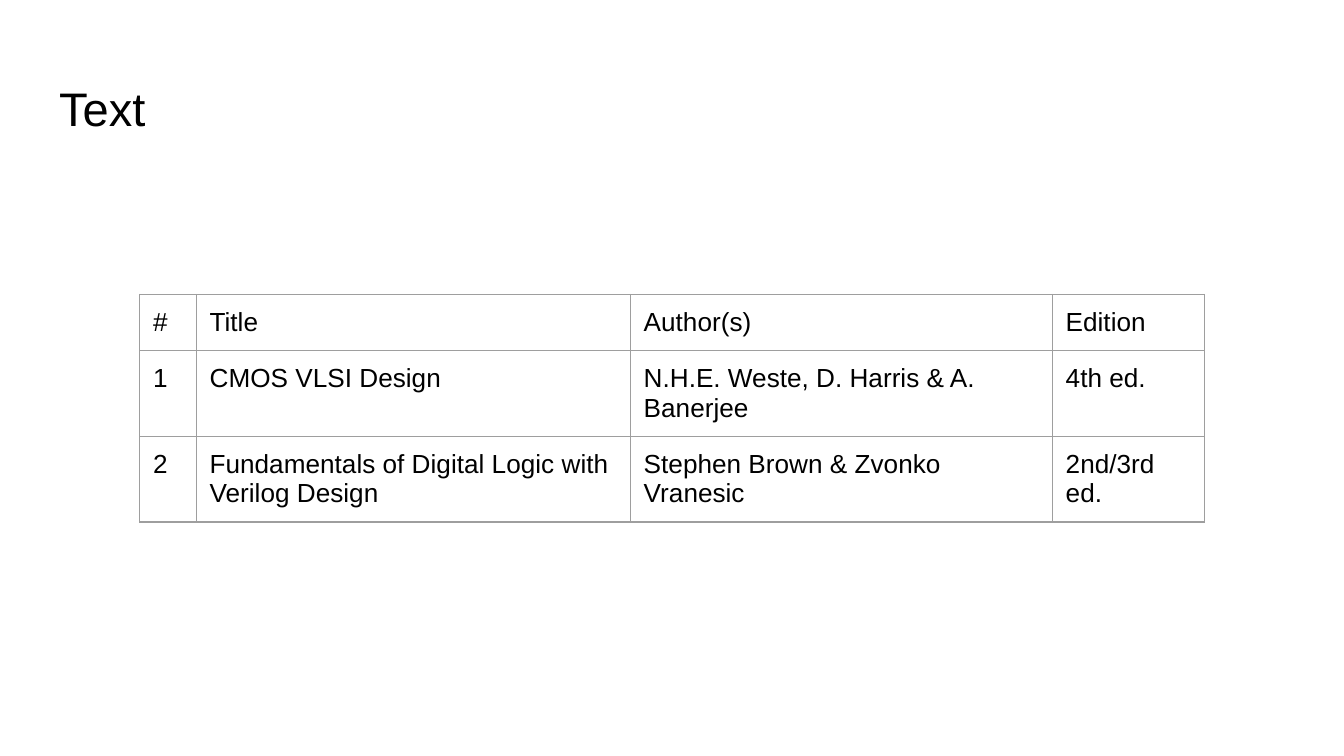
from lxml import etree
from pptx import Presentation
from pptx.dml.color import RGBColor
from pptx.enum import text
from pptx.oxml import ns
from pptx.util import Inches, Pt

BLACK = RGBColor(0x00, 0x00, 0x00)
WHITE = RGBColor(0xFF, 0xFF, 0xFF)
GREY = RGBColor(0x9E, 0x9E, 0x9E)

SLIDE_WIDTH = Inches(10)
SLIDE_HEIGHT = SLIDE_WIDTH * 9 // 16  # widescreen
PAD = Inches(0.1)
MARGINS = {f"margin_{side}": PAD for side in ("left", "top", "right", "bottom")}
COL_WIDTHS = (0.42, 3.23, 3.14, 1.13)
ROW_HEIGHT = 0.42
BOOKS = (
    ("#", "Title", "Author(s)", "Edition"),
    ("1", "CMOS VLSI Design", "N.H.E. Weste, D. Harris & A. Banerjee", "4th ed."),
    ("2", "Fundamentals of Digital Logic with Verilog Design",
     "Stephen Brown & Zvonko Vranesic", "2nd/3rd ed."),
)


def set_attrs(obj, values):
    for name, value in values.items():
        setattr(obj, name, value)


def write(p, words, size):
    p.alignment = text.PP_ALIGN.LEFT
    r = p.add_run()
    r.text = words
    set_attrs(r.font, {"name": "Arial", "size": Pt(size), "bold": False})
    r.font.color.rgb = BLACK


def add_borders(cell):
    tc_pr = cell._tc.get_or_add_tcPr()
    for i, side in enumerate(("lnL", "lnR", "lnT", "lnB")):
        ln = etree.Element(ns.qn(f"a:{side}"), w=str(Pt(0.75)))
        fill = etree.SubElement(ln, ns.qn("a:solidFill"))
        etree.SubElement(fill, ns.qn("a:srgbClr"), val=str(GREY))
        tc_pr.insert(i, ln)  # borders come before the fill


def add_title(s, left, top, width, height):
    sp = s.shapes.title
    set_attrs(sp, {"left": Inches(left), "top": Inches(top),
                   "width": Inches(width), "height": Inches(height)})
    tf = sp.text_frame
    set_attrs(tf, {**MARGINS, "word_wrap": True,
                   "auto_size": text.MSO_AUTO_SIZE.NONE,
                   "vertical_anchor": text.MSO_ANCHOR.MIDDLE})
    write(tf.paragraphs[0], "Text", 25.2)


def add_book_table(s, left, top):
    tbl = s.shapes.add_table(
        len(BOOKS), len(COL_WIDTHS), Inches(left), Inches(top),
        Inches(sum(COL_WIDTHS)), Inches(ROW_HEIGHT * len(BOOKS))).table
    set_attrs(tbl, {"first_row": False, "horz_banding": False})
    for col, width in zip(tbl.columns, COL_WIDTHS):
        col.width = Inches(width)
    for row, book in zip(tbl.rows, BOOKS):
        row.height = Inches(ROW_HEIGHT)
        for cell, words in zip(row.cells, book):
            set_attrs(cell, {**MARGINS, "vertical_anchor": text.MSO_ANCHOR.TOP})
            cell.fill.solid()
            cell.fill.fore_color.rgb = WHITE
            add_borders(cell)
            write(cell.text_frame.paragraphs[0], words, 14)


def main():
    prs = Presentation()
    set_attrs(prs, {"slide_width": SLIDE_WIDTH, "slide_height": SLIDE_HEIGHT})
    s = prs.slides.add_slide(prs.slide_layouts[5])  # title only

    # Heading
    add_title(s, 0.34, 0.49, 9.32, 0.63)
    # Textbook list
    add_book_table(s, 1.04, 2.19)

    prs.save("out.pptx")


if __name__ == "__main__":
    main()
